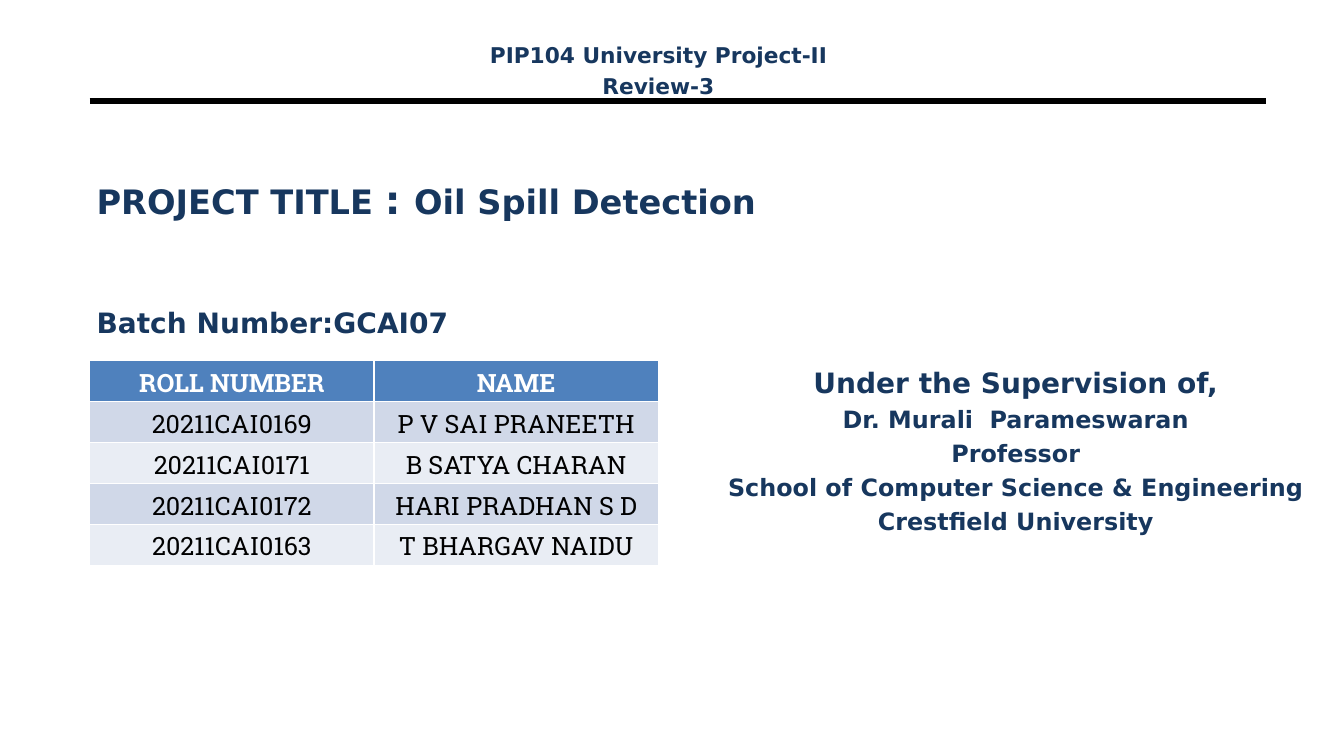
from lxml import etree
from pptx import Presentation
from pptx.dml.color import RGBColor
from pptx.enum import shapes, text
from pptx.oxml import ns
from pptx.util import Inches, Pt

NAVY = RGBColor(0x17, 0x37, 0x5E)
BLACK = RGBColor(0, 0, 0)
WHITE = RGBColor(0xFF, 0xFF, 0xFF)
HEADER_BLUE = RGBColor(0x4F, 0x81, 0xBD)
BAND_DARK = RGBColor(0xD0, 0xD8, 0xE8)
BAND_LIGHT = RGBColor(0xE9, 0xED, 0xF4)
HEADING_FONT = "DejaVu Sans"
TABLE_FONT = "Roboto Slab"
LEFT, CENTER = text.PP_ALIGN.LEFT, text.PP_ALIGN.CENTER

prs = Presentation()
prs.slide_width, prs.slide_height = Inches(13.33), Inches(7.5)
slide = prs.slides.add_slide(prs.slide_layouts[6])


def add_heading(left, top, width, height, lines, align=LEFT):
    """Add bold navy lines, given as (wording, size) pairs; return the text frame."""
    frame = slide.shapes.add_textbox(
        Inches(left), Inches(top), Inches(width), Inches(height)).text_frame
    frame.word_wrap = True
    for i, (wording, size) in enumerate(lines):
        paragraph = frame.add_paragraph() if i else frame.paragraphs[0]
        paragraph.text = wording
        paragraph.alignment = align
        paragraph.space_before = Pt(0.23 * size if i else 0)
        paragraph.font.name = HEADING_FONT
        paragraph.font.size = Pt(size)
        paragraph.font.bold = True
        paragraph.font.color.rgb = NAVY
    return frame


# Header
header_rule = slide.shapes.add_connector(
    shapes.MSO_CONNECTOR.STRAIGHT, Inches(0.89), Inches(1), Inches(12.56), Inches(1))
header_rule.line.color.rgb = BLACK
header_rule.line.width = Pt(4.5)
etree.SubElement(header_rule._element.spPr, ns.qn("a:effectLst"))
add_heading(4.36, 0.37, 4.34, 0.6,
            [("PIP104 University Project-II", 15.5), ("Review-3", 15.5)], CENTER)

# Project title, with a larger colon
title = add_heading(0.86, 1.17, 11.33, 1.61, [("PROJECT TITLE ", 24)])
title.vertical_anchor = text.MSO_ANCHOR.MIDDLE
colon = title.paragraphs[0].add_run()
colon.text = ": "
colon.font.size = Pt(28)
title.paragraphs[0].add_run().text = "Oil Spill Detection"

# Batch and supervisor
add_heading(0.86, 2.98, 4.34, 0.6, [("Batch Number:GCAI07", 20)])
add_heading(7.06, 3.58, 6.03, 2.66, [
    ("Under the Supervision of,", 20),
    ("Dr. Murali  Parameswaran", 17),
    ("Professor", 17),
    ("School of Computer Science & Engineering", 17),
    ("Crestfield University", 17),
], CENTER)

# Team members
members = [
    ("ROLL NUMBER", "NAME"),
    ("20211CAI0169", "P V SAI PRANEETH"),
    ("20211CAI0171", "B SATYA CHARAN"),
    ("20211CAI0172", "HARI PRADHAN S D"),
    ("20211CAI0163", "T BHARGAV NAIDU"),
]
member_table = slide.shapes.add_table(
    len(members), 2, Inches(0.89), Inches(3.58), Inches(5.64), Inches(2.03)).table
for r, member in enumerate(members):
    is_header = r == 0
    for c, wording in enumerate(member):
        cell = member_table.cell(r, c)
        cell.text = wording
        cell.fill.solid()
        cell.fill.fore_color.rgb = (
            HEADER_BLUE if is_header else BAND_DARK if r % 2 else BAND_LIGHT)
        paragraph = cell.text_frame.paragraphs[0]
        paragraph.alignment = CENTER
        paragraph.font.name = TABLE_FONT
        paragraph.font.size = Pt(18)
        paragraph.font.bold = is_header
        paragraph.font.color.rgb = WHITE if is_header else BLACK

prs.save("out.pptx")
